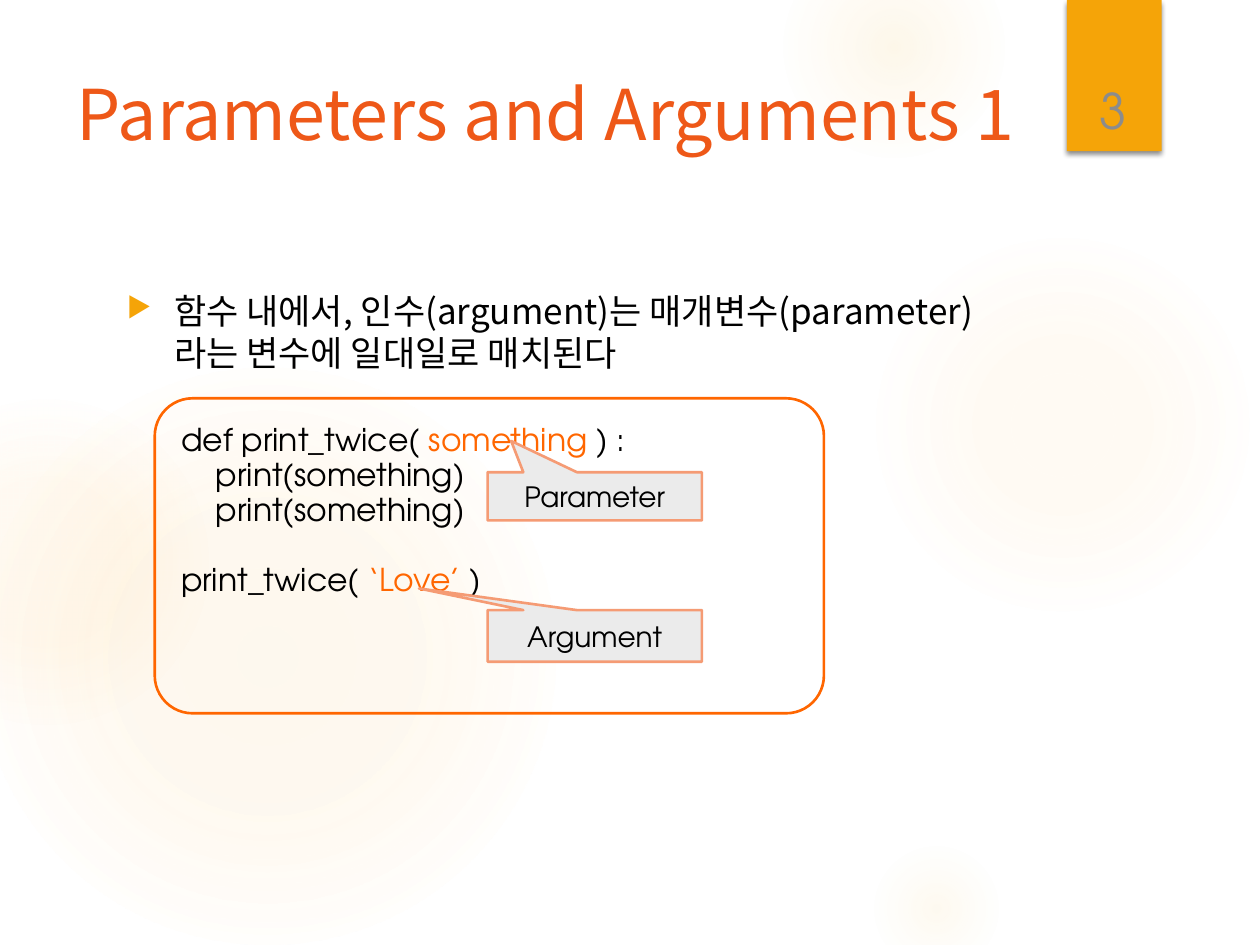
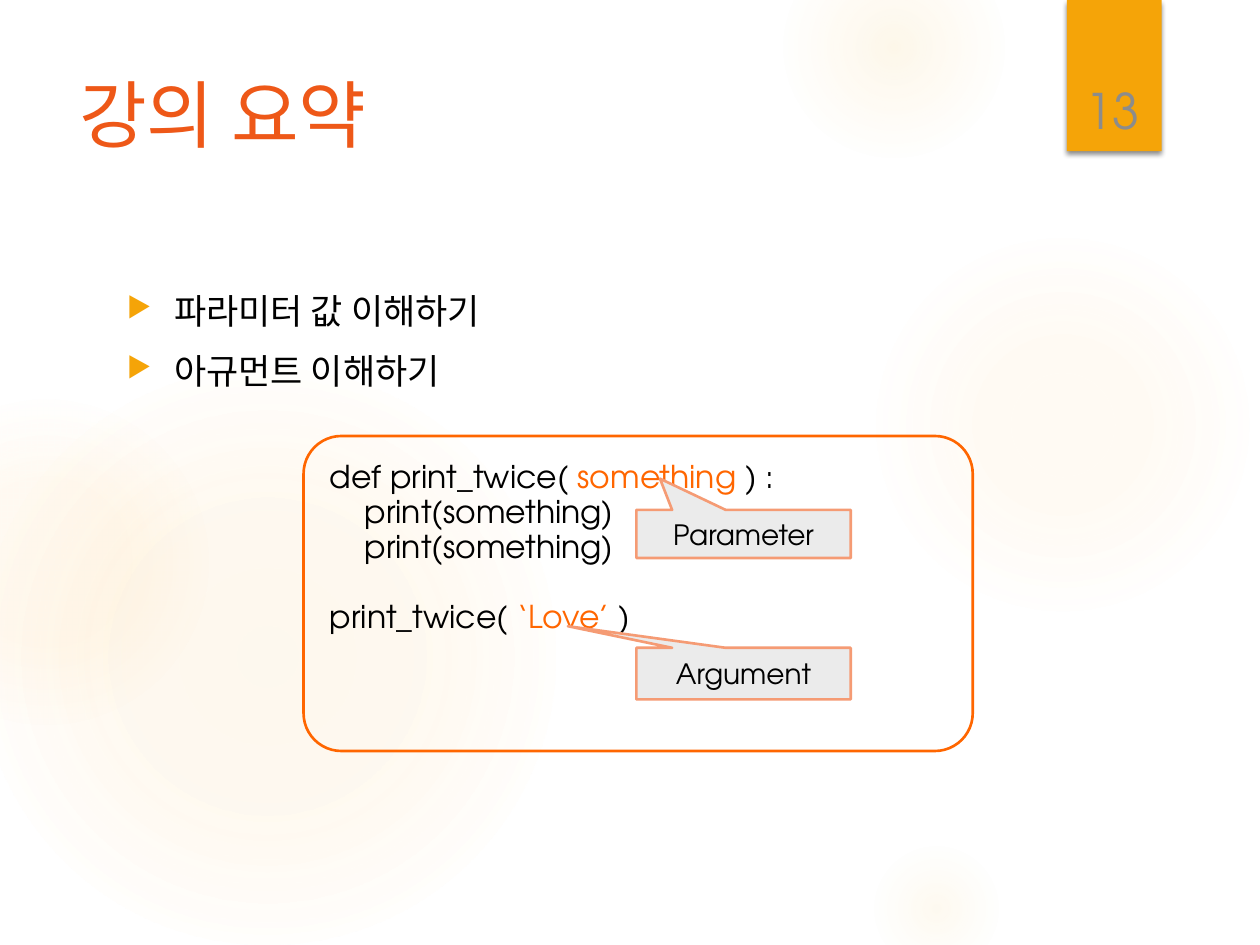
from dataclasses import dataclass

from lxml import etree
from pptx import Presentation
from pptx.dml.color import RGBColor
from pptx.enum.shapes import MSO_SHAPE as SHAPE
from pptx.enum.text import MSO_ANCHOR as ANCHOR, PP_ALIGN as ALIGN
from pptx.oxml import parse_xml
from pptx.oxml.ns import nsdecls, qn
from pptx.util import Cm, Pt


@dataclass(frozen=True)
class Theme:
    title: str = "EE5818"
    text: str = "000000"
    accent: str = "FF6600"
    ribbon: str = "F5A408"
    glow: str = "FAC96A"
    number: str = "8C8C8C"
    callout: str = "EBEBEB"
    callout_line: str = "F59B74"
    korean_font: str = "Noto Sans CJK KR"
    latin_font: str = "TeX Gyre Adventor"
    body_size: int = 20
    code_size: int = 18
    code_leading: int = 20
    callout_size: int = 16
    number_size: int = 28
    line_width: float = 1.5


T = Theme()

GLOWS = [
    (17.5, 4.65, 7.82, [(0, 7), (36, 6), (69, 0)]),
    (15.8, -1.27, 4.45, [(0, 14), (36, 7), (73, 0)]),
    (17.5, 16.94, 2.74, [(0, 10), (31, 5), (66, 0)]),
    (-0.43, 7.42, 11.63, [(0, 11), (36, 10), (75, 0)]),
    (-2.34, 8.05, 6.55, [(0, 8), (36, 8), (72, 0)]),
]

CODE = [
    (0, 0, [("def print_twice( ", T.text), ("something", T.accent), (" ) :", T.text)]),
    (0.7, 0, [("print(something)", T.text)]),
    (0.7, 0, [("print(something)", T.text)]),
    (0, T.code_leading, [("print_twice( ", T.text), ("‘Love’ ", T.accent), (")", T.text)]),
]


def cm_box(*lengths):
    return [Cm(v) for v in lengths]


def add_shape(s, kind, box, fill=None, line=None):
    sp = s.shapes.add_shape(kind, *cm_box(*box))
    sp.shadow.inherit = False
    if fill:
        sp.fill.solid()
        sp.fill.fore_color.rgb = RGBColor.from_string(fill)
    else:
        sp.fill.background()
    if line:
        sp.line.color.rgb = RGBColor.from_string(line)
        sp.line.width = Pt(T.line_width)
    else:
        sp.line.fill.background()
    return sp


def add_box(s, box):
    return s.shapes.add_textbox(*cm_box(*box))


def add_text(sp, runs, font=T.latin_font, size=T.code_size, color=T.text, align=ALIGN.LEFT,
             anchor=ANCHOR.TOP, first=True, before=0, leading=None, margin=0, indent=0):
    tf = sp.text_frame
    tf.word_wrap = True
    tf.vertical_anchor = anchor
    p = tf.paragraphs[0] if first else tf.add_paragraph()
    p.alignment = align
    p.space_before = Pt(before)
    if leading:
        p.line_spacing = Pt(leading)
    pPr = p._p.get_or_add_pPr()
    pPr.set("marL", str(Cm(margin)))
    pPr.set("indent", str(Cm(indent)))
    for text, run_color in [(runs, color)] if isinstance(runs, str) else runs:
        r = p.add_run()
        r.text = text
        r.font.name = font
        r.font.size = Pt(size)
        r.font.color.rgb = RGBColor.from_string(run_color)
        etree.SubElement(r.font._element, qn("a:ea")).set("typeface", font)
    return p


def add_bullet(p):
    pPr = p._p.get_or_add_pPr()
    color = etree.SubElement(pPr, qn("a:buClr"))
    etree.SubElement(color, qn("a:srgbClr")).set("val", T.ribbon)
    etree.SubElement(pPr, qn("a:buSzPct")).set("val", "80000")
    etree.SubElement(pPr, qn("a:buChar")).set("char", "▶")


def add_glow(s, left, top, size, stops):
    sp = add_shape(s, SHAPE.OVAL, (left, top, size, size))
    stop_xml = "".join(
        f'<a:gs pos="{pos * 1000}"><a:srgbClr val="{T.glow}">'
        f'<a:alpha val="{alpha * 1000}"/></a:srgbClr></a:gs>'
        for pos, alpha in stops)
    grad = parse_xml(
        f'<a:gradFill {nsdecls("a")} rotWithShape="1"><a:gsLst>{stop_xml}</a:gsLst>'
        '<a:path path="circle"><a:fillToRect l="50000" t="50000" r="50000" b="50000"/>'
        '</a:path></a:gradFill>')
    spPr = sp._element.spPr
    spPr.replace(spPr.find(qn("a:noFill")), grad)


def add_ribbon(s, left, top, number):
    sp = add_shape(s, SHAPE.RECTANGLE, (left, top, 1.91, 3.05), fill=T.ribbon)
    effects = sp._element.spPr.find(qn("a:effectLst"))
    effects.append(parse_xml(
        f'<a:outerShdw {nsdecls("a")} blurRad="{Pt(3)}" dist="{Pt(2)}" dir="5400000" '
        'algn="ctr" rotWithShape="0"><a:srgbClr val="000000"><a:alpha val="45000"/>'
        '</a:srgbClr></a:outerShdw>'))
    add_text(add_box(s, (left + 0.05, top + 0.81, 1.75, 2.13)), str(number),
             size=T.number_size, color=T.number, align=ALIGN.CENTER, anchor=ANCHOR.BOTTOM)


def add_body(s, left, top, items):
    sp = add_box(s, (left, top, 18.64, 11.66))
    for i, item in enumerate(items):
        p = add_text(sp, item, font=T.korean_font, size=T.body_size, first=i == 0,
                     before=10, margin=0.95, indent=-0.95)
        add_bullet(p)


def add_callout(s, box, label, pointer):
    sp = add_shape(s, SHAPE.RECTANGULAR_CALLOUT, box, T.callout, T.callout_line)
    sp.adjustments[0], sp.adjustments[1] = pointer
    add_text(sp, label, size=T.callout_size, align=ALIGN.CENTER, anchor=ANCHOR.MIDDLE)


def add_code_panel(s, left, top):
    frame = add_shape(s, SHAPE.ROUNDED_RECTANGLE, (left, top, 13.49, 6.35), line=T.accent)
    frame.adjustments[0] = 0.12
    sp = add_box(s, (left + 0.28, top + 0.36, 10.52, 3.81))
    for i, (margin, before, runs) in enumerate(CODE):
        add_text(sp, runs, first=i == 0, margin=margin, before=before, leading=T.code_leading)
    add_callout(s, (left + 6.71, top + 1.49, 4.32, 0.97), "Parameter", (-0.39, -1.15))
    add_callout(s, (left + 6.71, top + 4.27, 4.32, 1.04), "Argument", (-0.82, -0.92))


def add_lesson_slide(prs, number, title, title_size, title_box, items, code_at):
    s = prs.slides.add_slide(prs.slide_layouts[6])
    for glow in GLOWS:
        add_glow(s, *glow)
    add_ribbon(s, 21.51, 0, number)
    add_text(add_box(s, title_box), title, font=T.korean_font, size=title_size, color=T.title)
    add_body(s, 2.31, 5.72, items)
    add_code_panel(s, *code_at)


def main():
    prs = Presentation()
    prs.slide_width, prs.slide_height = Cm(25.4), Cm(19.05)
    add_lesson_slide(
        prs, 3, "Parameters and Arguments 1", 40, (1.3, 1.3, 21.89, 3.89),
        ["함수 내에서, 인수(argument)는 매개변수(parameter)라는 변수에 일대일로 매치된다"],
        (3.12, 8.03))
    add_lesson_slide(
        prs, 13, "강의 요약", 42, (1.35, 1.27, 19.61, 3.89),
        ["파라미터 값 이해하기", "아규먼트 이해하기"],
        (6.12, 8.79))
    prs.save("out.pptx")


if __name__ == "__main__":
    main()
